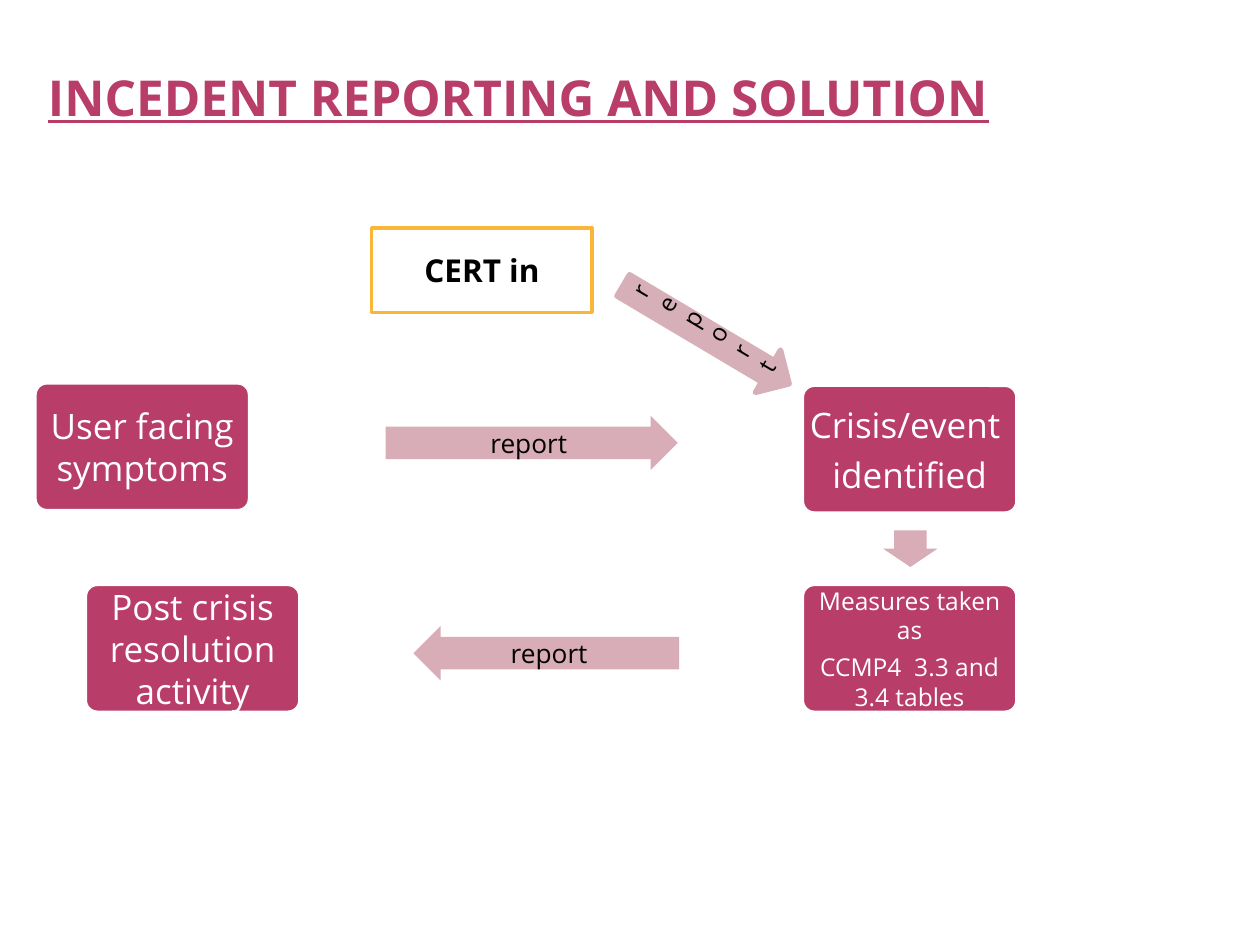
from pptx import Presentation
from pptx.dml.color import RGBColor
from pptx.enum import shapes, text
from pptx.util import Pt

COLORS = {"berry": "B83D68", "rose": "D8ADB7", "dusty": "D7AFB9",
          "amber": "F9B639", "white": "FFFFFF", "black": "000000"}
KIND = shapes.MSO_SHAPE


class Page:
    """Draws the styled elements of one slide."""

    font = "Open Sans"
    box_size = (123.8, 74.2)

    def __init__(self, deck):
        self.page = deck.slides.add_slide(deck.slide_layouts[5])

    def color(self, name):
        return RGBColor.from_string(COLORS[name])

    def label(self, shape, lines, size, color, insets, gap=0,
              align=text.PP_ALIGN.CENTER, anchor=text.MSO_ANCHOR.MIDDLE, **style):
        frame = shape.text_frame
        frame.word_wrap = True
        frame.auto_size = text.MSO_AUTO_SIZE.NONE
        frame.vertical_anchor = anchor
        for side, inset in zip(("left", "top", "right", "bottom"), insets):
            setattr(frame, f"margin_{side}", Pt(inset))
        formats = {"name": self.font, "size": Pt(size), **style}
        for index, line in enumerate(lines):
            para = frame.add_paragraph() if index else frame.paragraphs[0]
            para.alignment = align
            para.space_before = Pt(gap if index else 0)
            span = para.add_run()
            span.text = line
            for name, value in formats.items():
                setattr(span.font, name, value)
            span.font.color.rgb = self.color(color)

    def title(self, line, left, top, width, height):
        title = self.page.shapes.title
        place = {"left": left, "top": top, "width": width, "height": height}
        for name, value in place.items():
            setattr(title, name, Pt(value))
        self.label(title, [line], 28.3, "berry", (3.6, 0, 3.6, 20),
                   align=text.PP_ALIGN.LEFT, anchor=text.MSO_ANCHOR.BOTTOM,
                   bold=True, underline=True)

    def shape(self, kind, place, fill, line=None, weight=0, adjust=()):
        shape = self.page.shapes.add_shape(kind, *map(Pt, place))
        shape.shadow.inherit = False
        shape.fill.solid()
        shape.fill.fore_color.rgb = self.color(fill)
        if line:
            shape.line.color.rgb = self.color(line)
            shape.line.width = Pt(weight)
        else:
            shape.line.fill.background()
        for index, value in enumerate(adjust):
            shape.adjustments[index] = value
        return shape

    def step(self, lines, left, top, size=20):
        box = self.shape(KIND.ROUNDED_RECTANGLE, (left, top, *self.box_size),
                         "berry", "white", 3.15, (0.1,))
        self.label(box, lines, size, "white", (1.4,) * 4, gap=4.5)

    def arrow(self, kind, place, caption=None, insets=(0, 0, 0, 0)):
        arrow = self.shape(kind, place, "rose", adjust=(0.6, 0.5))
        if caption:
            self.label(arrow, [caption], 15, "black", insets)

    def slanted_arrow(self, caption, place, angle):
        arrow = self.shape(KIND.DOWN_ARROW, place, "dusty", "dusty", 3.15, (0.5, 0.5))
        arrow.rotation = angle
        self.label(arrow, [caption], 14, "black", (7.2, 3.6, 7.2, 3.6))

    def source(self, caption, place):
        box = self.shape(KIND.RECTANGLE, place, "white", "amber", 2)
        self.label(box, [caption], 18, "black", (7.2, 3.6, 7.2, 3.6), bold=True)


deck = Presentation()
deck.slide_width, deck.slide_height = Pt(720), Pt(540)
page = Page(deck)
page.title("INCEDENT REPORTING AND SOLUTION", 23.8, 30.2, 570.2, 61.9)
page.source("CERT in", (212.4, 130.3, 126, 48.2))
page.slanted_arrow("report", (389.5, 136.1, 28.1, 110.2), 300.7)

right_column, lower_row = 457.9, 333.4
page.step(["User facing symptoms"], 19.4, 218.2)
page.arrow(KIND.RIGHT_ARROW, (220.3, 237.6, 167, 31), "report", (6, 0, 0, 0))
page.step(["Crisis/event ", "identified"], right_column, 219.6)
page.arrow(KIND.DOWN_ARROW, (504.7, 303.1, 31, 20.9))
page.step(["Measures taken as", "CCMP4  3.3 and 3.4 tables"], right_column, lower_row, 14)
page.arrow(KIND.LEFT_ARROW, (236.2, 357.8, 151.9, 31), "report", (0, 0, 6, 0))
page.step(["Post crisis resolution activity"], 48.2, lower_row)
deck.save("out.pptx")
